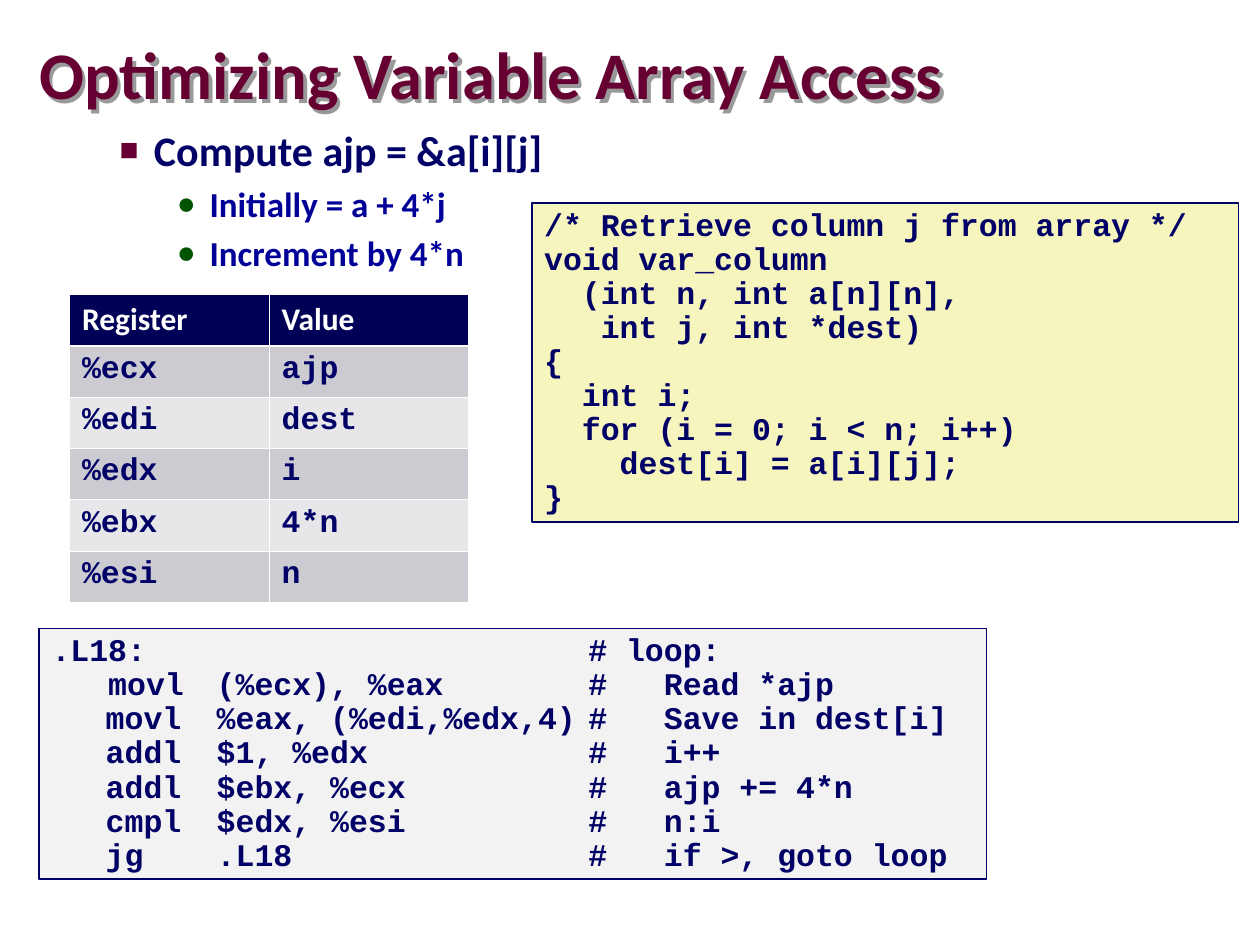
import dataclasses

import lxml.etree
import pptx
import pptx.dml.color
import pptx.enum.shapes
import pptx.enum.text
import pptx.oxml.ns
import pptx.util
from pptx.util import Cm


@dataclasses.dataclass(frozen=True)
class Theme:
    sans: str = "Calibri"
    mono: str = "Courier New"
    maroon: str = "660033"
    shadow: str = "999999"
    navy: str = "000066"
    blue: str = "000099"
    green: str = "005400"
    white: str = "FFFFFF"
    header: str = "000056"
    bands: tuple = ("CBCBD1", "E7E7E9")
    source_fill: str = "F6F5BD"
    assembly_fill: str = "F2F2F2"
    title_size: int = 38
    topic_size: int = 24
    detail_size: int = 20
    text_size: int = 18


THEME = Theme()

TOPICS = [
    (1, "Compute ajp = &a[i][j]"),
    (2, "Initially = a + 4*j"),
    (2, "Increment by 4*n"),
]

REGISTERS = [
    ("Register", "Value"),
    ("%ecx", "ajp"),
    ("%edi", "dest"),
    ("%edx", "i"),
    ("%ebx", "4*n"),
    ("%esi", "n"),
]

SOURCE = """/* Retrieve column j from array */
void var_column
  (int n, int a[n][n],
   int j, int *dest)
{
  int i;
  for (i = 0; i < n; i++)
    dest[i] = a[i][j];
}"""

ASSEMBLY = """.L18:\t\t# loop:
   movl\t(%ecx), %eax\t#   Read *ajp
\t  movl\t%eax, (%edi,%edx,4)\t#   Save in dest[i]
\t  addl\t$1, %edx\t#   i++
\t  addl\t$ebx, %ecx\t#   ajp += 4*n
\t  cmpl\t$edx, %esi\t#   n:i
\t  jg\t.L18\t#   if >, goto loop"""


def rgb(color):
    return pptx.dml.color.RGBColor.from_string(color)


def add_element(parent, tag, **attributes):
    element = lxml.etree.SubElement(parent, pptx.oxml.ns.qn(tag))
    for name, value in attributes.items():
        element.set(name, str(value))
    return element


def style_spans(para, font, size, color):
    for span in para.runs:
        span.font.name = font
        span.font.size = pptx.util.Pt(size)
        span.font.bold = True
        span.font.color.rgb = rgb(color)


def place(shape, box):
    shape.left, shape.top, shape.width, shape.height = box


def fill_title(title, box):
    place(title, box)
    frame = title.text_frame
    frame.text = "Optimizing Variable Array Access"
    frame.auto_size = pptx.enum.text.MSO_AUTO_SIZE.NONE
    frame.vertical_anchor = pptx.enum.text.MSO_ANCHOR.MIDDLE
    frame.margin_left = frame.margin_right = frame.margin_top = frame.margin_bottom = 0
    para = frame.paragraphs[0]
    para.alignment = pptx.enum.text.PP_ALIGN.LEFT
    para.line_spacing = 0.87
    style_spans(para, THEME.sans, THEME.title_size, THEME.maroon)
    effects = add_element(title.element.spPr, "a:effectLst")
    shadow = add_element(effects, "a:outerShdw", dist=Cm(0.1), dir=45 * 60000, algn="ctr")
    add_element(shadow, "a:srgbClr", val=THEME.shadow)


def add_bullet(para, symbol, color, percent, margin, indent):
    properties = para._p.get_or_add_pPr()
    properties.set("marL", str(margin))
    properties.set("indent", str(-indent))
    add_element(add_element(properties, "a:buClr"), "a:srgbClr", val=color)
    add_element(properties, "a:buSzPct", val=percent * 1000)
    add_element(properties, "a:buFont", typeface="Arial")
    add_element(properties, "a:buChar", char=symbol)


def fill_topics(body, box):
    place(body, box)
    frame = body.text_frame
    frame.text = "\n".join(text for level, text in TOPICS)
    frame.auto_size = pptx.enum.text.MSO_AUTO_SIZE.NONE
    for para, (level, text) in zip(frame.paragraphs, TOPICS):
        para.level = level
        if level == 1:
            para.space_before = pptx.util.Pt(0)
            add_bullet(para, "■", THEME.maroon, 75, Cm(2.06), Cm(0.69))
            style_spans(para, THEME.sans, THEME.topic_size, THEME.navy)
        else:
            para.space_before = pptx.util.Pt(2.5)
            para.line_spacing = 1.07
            add_bullet(para, "●", THEME.green, 90, Cm(3.18), Cm(0.66))
            style_spans(para, THEME.sans, THEME.detail_size, THEME.blue)


def add_code(page, box, code, fill, tabs=()):
    panel = page.shapes.add_shape(pptx.enum.shapes.MSO_SHAPE.RECTANGLE, *box)
    panel.shadow.inherit = False
    panel.fill.solid()
    panel.fill.fore_color.rgb = rgb(fill)
    panel.line.color.rgb = rgb(THEME.navy)
    panel.line.width = pptx.util.Pt(1)
    frame = panel.text_frame
    frame.text = code
    frame.word_wrap = True
    frame.auto_size = pptx.enum.text.MSO_AUTO_SIZE.SHAPE_TO_FIT_TEXT
    frame.vertical_anchor = pptx.enum.text.MSO_ANCHOR.TOP
    for para in frame.paragraphs:
        para.alignment = pptx.enum.text.PP_ALIGN.LEFT
        para.line_spacing = 0.9
        if tabs:
            stops = add_element(para._p.get_or_add_pPr(), "a:tabLst")
            for position in tabs:
                add_element(stops, "a:tab", pos=position, algn="l")
        style_spans(para, THEME.mono, THEME.text_size, THEME.navy)


def add_cell_borders(cell, row):
    heavy_side = {0: "a:lnB", 1: "a:lnT"}.get(row)
    for side in ("a:lnL", "a:lnR", "a:lnT", "a:lnB"):
        width = pptx.util.Pt(1.47 if side == heavy_side else 0.45)
        line = add_element(cell._tc.get_or_add_tcPr(), side, w=width)
        add_element(add_element(line, "a:solidFill"), "a:srgbClr", val=THEME.white)


def add_registers(page, box):
    table = page.shapes.add_table(len(REGISTERS), len(REGISTERS[0]), *box).table
    for row, values in enumerate(REGISTERS):
        for column, value in enumerate(values):
            cell = table.cell(row, column)
            cell.text = value
            add_cell_borders(cell, row)
            cell.fill.solid()
            para = cell.text_frame.paragraphs[0]
            if row == 0:
                cell.fill.fore_color.rgb = rgb(THEME.header)
                style_spans(para, THEME.sans, THEME.text_size, THEME.white)
            else:
                cell.fill.fore_color.rgb = rgb(THEME.bands[(row - 1) % 2])
                style_spans(para, THEME.mono, THEME.text_size, THEME.navy)


def main():
    deck = pptx.Presentation()
    deck.slide_width, deck.slide_height = Cm(25.4), Cm(19.05)
    page = deck.slides.add_slide(deck.slide_layouts[1])
    left = Cm(0.79)
    fill_title(page.shapes.title, (left, Cm(0.79), Cm(23.55), Cm(1.6)))
    fill_topics(page.placeholders[1], (left, Cm(2.39), Cm(11.43), Cm(10.87)))
    add_code(page, (Cm(10.72), Cm(4.09), Cm(14.25), Cm(6.43)), SOURCE, THEME.source_fill)
    add_code(page, (left, Cm(12.67), Cm(19.1), Cm(5.05)), ASSEMBLY, THEME.assembly_fill,
             (Cm(0.33), Cm(3.33), Cm(10.82)))
    add_registers(page, (Cm(1.4), Cm(5.94), Cm(8.05), Cm(6.2)))
    deck.save("out.pptx")


if __name__ == "__main__":
    main()
